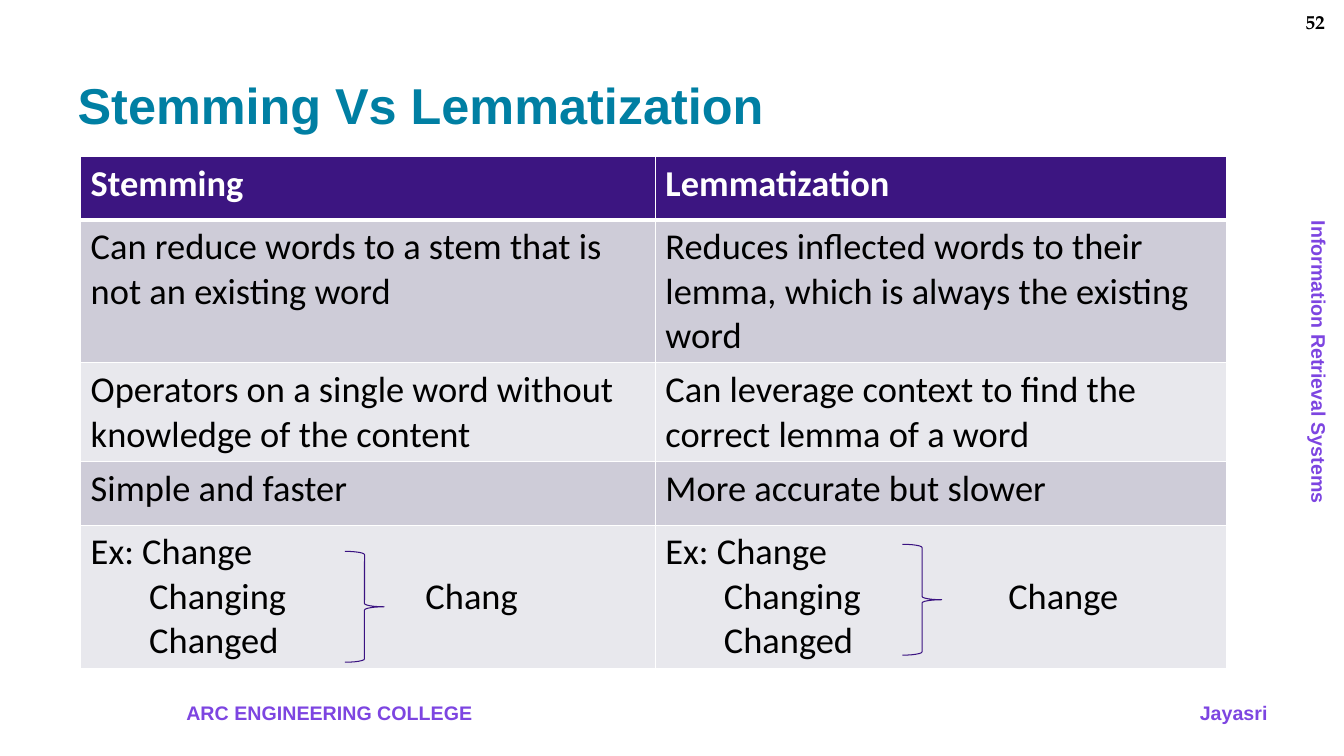
from dataclasses import dataclass

import lxml.etree
import pptx
import pptx.dml.color
import pptx.enum.shapes
import pptx.enum.text
import pptx.oxml.ns
import pptx.presentation
import pptx.shapes.autoshape
import pptx.slide
import pptx.table
import pptx.text.text
import pptx.util

EMU_PER_PX = 9144
ALIGN = pptx.enum.text.PP_ALIGN
VIOLET = "7D45E1"
HEADER_FILL = "3C1581"
BAND_FILLS = ("CECCD8", "E8E8ED")


@dataclass(frozen=True)
class Box:
    left: int
    top: int
    width: int
    height: int

    def emu(self) -> tuple[int, int, int, int]:
        return px(self.left), px(self.top), px(self.width), px(self.height)


@dataclass(frozen=True)
class Style:
    size: int
    font: str
    color: str
    bold: bool = False


@dataclass(frozen=True)
class Label:
    text: str
    box: Box
    style: Style
    align: ALIGN = ALIGN.LEFT
    rotation: int = 0
    wrap: bool = True


@dataclass(frozen=True)
class Row:
    height: int
    stemming: str
    lemmatization: str


MARGIN_STYLE = Style(14, "Arial", VIOLET, True)
LABELS = (
    Label("Jayasri", Box(905, 690, 362, 34), MARGIN_STYLE, ALIGN.RIGHT),
    Label("ARC ENGINEERING COLLEGE", Box(175, 690, 473, 34), MARGIN_STYLE),
    Label("Information Retrieval Systems", Box(1157, 343, 302, 34), MARGIN_STYLE, rotation=90, wrap=False),
    Label("52", Box(1250, 5, 74, 34), Style(14, "TeX Gyre Pagella", "000000", True), ALIGN.RIGHT),
)
ROWS = (
    Row(63, "Stemming", "Lemmatization"),
    Row(142, "Can reduce words to a stem that is not an existing word",
        "Reduces inflected words to their lemma, which is always the existing word"),
    Row(98, "Operators on a single word without knowledge of the content",
        "Can leverage context to find the correct lemma of a word"),
    Row(63, "Simple and faster", "More accurate but slower"),
    Row(142, "Ex: Change\n\tChanging\tChang\n\tChanged",
        "Ex: Change\n\tChanging\tChange\n\tChanged"),
)
COLUMN_WIDTHS = (570, 567)
EXAMPLE_TABS = ((58, 332), (58, 340))
BRACES = (Box(342, 547, 39, 110), Box(895, 540, 39, 110))


def px(length: int) -> int:
    return length * EMU_PER_PX


def rgb(color: str) -> pptx.dml.color.RGBColor:
    return pptx.dml.color.RGBColor.from_string(color)


def add_run(paragraph: pptx.text.text._Paragraph, text: str, style: Style) -> None:
    run = paragraph.add_run()
    run.text = text
    run.font.size = pptx.util.Pt(style.size)
    run.font.name = style.font
    run.font.bold = style.bold
    run.font.color.rgb = rgb(style.color)


def add_title(slide: pptx.slide.Slide, text: str) -> None:
    title = slide.shapes.title
    title.left, title.top, title.width, title.height = Box(67, 24, 1200, 120).emu()
    frame = title.text_frame
    frame.margin_left = frame.margin_right = frame.margin_top = frame.margin_bottom = px(10)
    frame.vertical_anchor = pptx.enum.text.MSO_ANCHOR.BOTTOM
    frame.auto_size = pptx.enum.text.MSO_AUTO_SIZE.NONE
    frame.paragraphs[0].alignment = ALIGN.LEFT
    add_run(frame.paragraphs[0], text, Style(36, "Arial", "007FA3", True))


def add_label(slide: pptx.slide.Slide, label: Label) -> None:
    textbox = slide.shapes.add_textbox(*label.box.emu())
    textbox.rotation = label.rotation
    textbox.text_frame.word_wrap = label.wrap
    paragraph = textbox.text_frame.paragraphs[0]
    paragraph.alignment = label.align
    add_run(paragraph, label.text, label.style)


def set_tabs(paragraph: pptx.text.text._Paragraph, stops: tuple[int, ...]) -> None:
    tabs = lxml.etree.SubElement(paragraph._p.get_or_add_pPr(), pptx.oxml.ns.qn("a:tabLst"))
    for stop in stops:
        lxml.etree.SubElement(tabs, pptx.oxml.ns.qn("a:tab"), pos=str(px(stop)), algn="l")


def set_borders(cell: pptx.table._Cell, widths: dict[str, int]) -> None:
    properties = cell._tc.get_or_add_tcPr()
    for index, (side, width) in enumerate(widths.items()):
        border = lxml.etree.Element(pptx.oxml.ns.qn(f"a:{side}"), w=str(pptx.util.Pt(width)))
        fill = lxml.etree.SubElement(border, pptx.oxml.ns.qn("a:solidFill"))
        lxml.etree.SubElement(fill, pptx.oxml.ns.qn("a:srgbClr"), val="FFFFFF")
        properties.insert(index, border)


def fill_cell(cell: pptx.table._Cell, text: str, row: int, tabs: tuple[int, ...]) -> None:
    header = row == 0
    cell.fill.solid()
    cell.fill.fore_color.rgb = rgb(HEADER_FILL if header else BAND_FILLS[(row - 1) % 2])
    set_borders(cell, {"lnL": 1, "lnR": 1, "lnT": 3 if row == 1 else 1, "lnB": 3 if header else 1})
    style = Style(26, "Calibri", "FFFFFF" if header else "000000", header)
    for index, line in enumerate(text.split("\n")):
        paragraph = cell.text_frame.paragraphs[0] if index == 0 else cell.text_frame.add_paragraph()
        if "\t" in line:
            set_tabs(paragraph, tabs)
        add_run(paragraph, line, style)


def add_comparison(slide: pptx.slide.Slide) -> None:
    box = Box(80, 155, sum(COLUMN_WIDTHS), sum(row.height for row in ROWS))
    comparison = slide.shapes.add_table(len(ROWS), len(COLUMN_WIDTHS), *box.emu()).table
    for column, width in enumerate(COLUMN_WIDTHS):
        comparison.columns[column].width = px(width)
    for index, row in enumerate(ROWS):
        comparison.rows[index].height = px(row.height)
        for column, text in enumerate((row.stemming, row.lemmatization)):
            fill_cell(comparison.cell(index, column), text, index, EXAMPLE_TABS[column])


def add_brace(slide: pptx.slide.Slide, box: Box) -> None:
    brace = slide.shapes.add_shape(pptx.enum.shapes.MSO_SHAPE.RIGHT_BRACE, *box.emu())
    brace.shadow.inherit = False
    brace.fill.background()
    brace.line.color.rgb = rgb("3A1281")
    brace.line.width = pptx.util.Pt(0.75)


def main() -> None:
    deck = pptx.Presentation()
    deck.slide_width, deck.slide_height = px(1333), px(750)
    slide = deck.slides.add_slide(deck.slide_layouts[5])
    for label in LABELS:
        add_label(slide, label)
    add_title(slide, "Stemming Vs Lemmatization")
    add_comparison(slide)
    for box in BRACES:
        add_brace(slide, box)
    deck.save("out.pptx")


if __name__ == "__main__":
    main()
